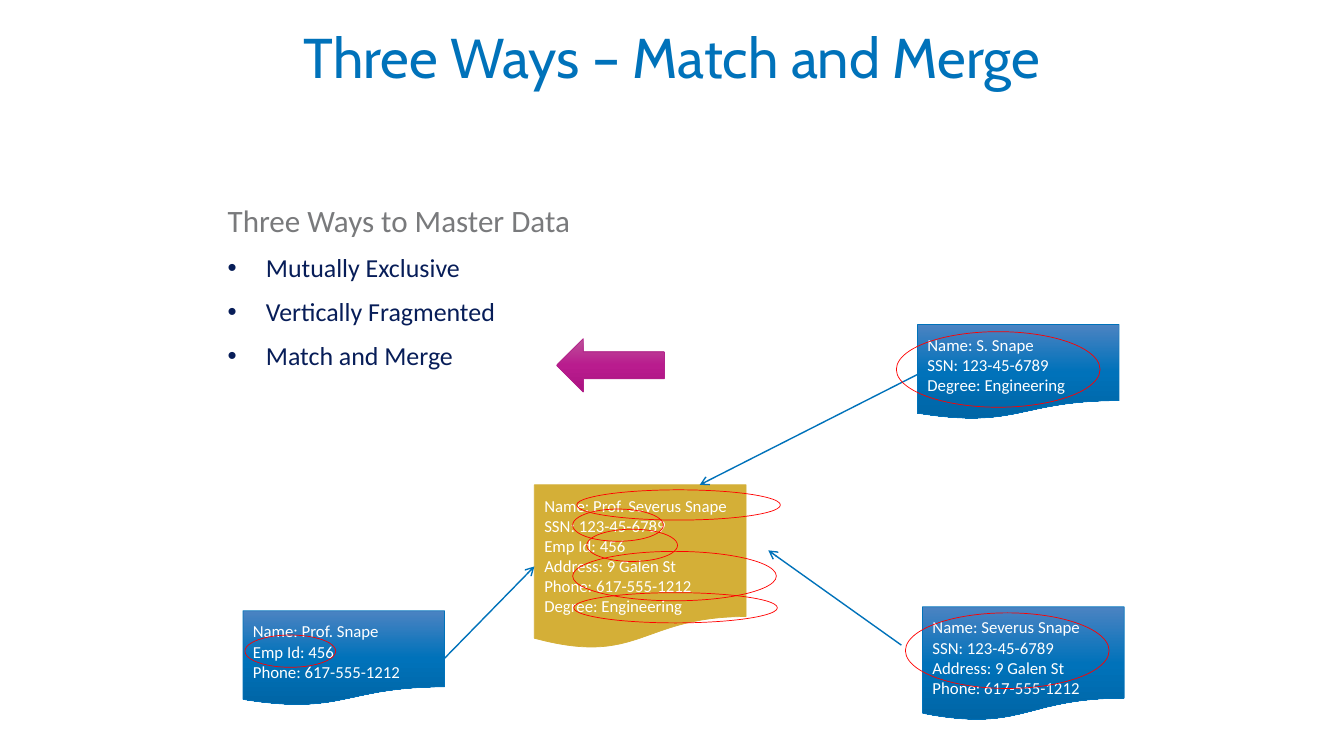
import pptx
import pptx.util
import pptx.oxml
import pptx.oxml.ns
import pptx.dml.color
import pptx.enum.shapes
import pptx.enum.text
from dataclasses import dataclass

Inches = pptx.util.Inches
Pt = pptx.util.Pt
Kind = pptx.enum.shapes.MSO_SHAPE
Align = pptx.enum.text.PP_ALIGN
Anchor = pptx.enum.text.MSO_ANCHOR


@dataclass(frozen=True)
class Theme:
    head: str = "Cabin"
    body: str = "Calibri"
    blue: str = "0072BA"
    navy: str = "071D58"
    gray: str = "797A7C"
    gold: str = "D4AF37"
    pink: str = "B2238B"
    red: str = "FF0000"
    white: str = "FFFFFF"
    blues: tuple = ("4B83C2", "0072BA", "0065A5")
    pinks: tuple = ("BD5099", "B91C8E", "AB1281")
    title: float = 40
    lead: float = 22.2
    item: float = 18.5
    small: float = 12


def color(code):
    return pptx.dml.color.RGBColor.from_string(code)


def node(tag, **attrs):
    item = pptx.oxml.parse_xml(f"<{tag} {pptx.oxml.ns.nsdecls('a')}/>")
    for key, value in attrs.items():
        item.set(key, value)
    return item


class Deck:
    def __init__(self, theme):
        self.theme = theme
        self.show = pptx.Presentation()
        self.show.slide_width = Inches(13.33)
        self.show.slide_height = Inches(7.5)
        self.slide = self.show.slides.add_slide(self.show.slide_layouts[6])

    def add_run(self, para, text, size, tint, font=None):
        run = para.add_run()
        run.text = text
        run.font.name = font or self.theme.body
        run.font.size = Pt(size)
        run.font.color.rgb = color(tint)

    def frame(self, shape, insets):
        frame = shape.text_frame
        frame.word_wrap = True
        (frame.margin_left, frame.margin_top,
         frame.margin_right, frame.margin_bottom) = map(Inches, insets)
        return frame

    def blend(self, shape, tints):
        shape.fill.gradient()
        shape.fill.gradient_angle = 270
        stops = shape._element.spPr.find(".//" + pptx.oxml.ns.qn("a:gsLst"))
        for stop in list(stops):
            stops.remove(stop)
        for place, tint in zip((0, 50000, 100000), tints):
            stop = node("a:gs", pos=str(place))
            stop.append(node("a:srgbClr", val=tint))
            stops.append(stop)

    def shape(self, kind, box, edge, fill=None):
        shape = self.slide.shapes.add_shape(kind, *map(Inches, box))
        shape.shadow.inherit = False
        shape.line.color.rgb = color(edge)
        shape.line.width = Pt(0.5)
        if fill is None:
            shape.fill.background()
        elif isinstance(fill, tuple):
            self.blend(shape, fill)
        else:
            shape.fill.solid()
            shape.fill.fore_color.rgb = color(fill)
        return shape

    def card(self, box, lines, edge, fill, base):
        shape = self.shape(Kind.FLOWCHART_DOCUMENT, box, edge, fill)
        frame = self.frame(shape, (0.1, 0.1, 0.1, base))
        frame.vertical_anchor = Anchor.MIDDLE
        for index, line in enumerate(lines):
            para = frame.add_paragraph() if index else frame.paragraphs[0]
            para.alignment = Align.LEFT
            self.add_run(para, line, self.theme.small, self.theme.white)

    def ring(self, box):
        self.shape(Kind.OVAL, box, self.theme.red)

    def link(self, start, end):
        line = self.slide.shapes.add_connector(
            pptx.enum.shapes.MSO_CONNECTOR.STRAIGHT,
            *map(Inches, start + end))
        line.line.color.rgb = color(self.theme.blue)
        line.line.width = Pt(1)
        edge = line._element.spPr.find(pptx.oxml.ns.qn("a:ln"))
        edge.append(node("a:tailEnd", type="arrow"))
        line._element.spPr.append(node("a:effectLst"))

    def title(self, box, text):
        shape = self.slide.shapes.add_textbox(*map(Inches, box))
        para = self.frame(shape, (0.1, 0.05, 0.1, 0.05)).paragraphs[0]
        para.alignment = Align.CENTER
        para.line_spacing = 0.9
        self.add_run(para, text, self.theme.title, self.theme.blue,
                     self.theme.head)

    def points(self, box, lead, items):
        shape = self.slide.shapes.add_textbox(*map(Inches, box))
        frame = self.frame(shape, (0.1, 0.15, 0.1, 0.05))
        para = frame.paragraphs[0]
        para.space_after = Pt(6)
        self.add_run(para, lead, self.theme.lead, self.theme.gray)
        for item in items:
            para = frame.add_paragraph()
            para.space_before = Pt(3.2)
            para.space_after = Pt(6)
            props = para._p.get_or_add_pPr()
            props.set("marL", str(Inches(0.38)))
            props.set("indent", str(-Inches(0.38)))
            props.append(node("a:buFont", typeface="Arial"))
            props.append(node("a:buChar", char="•"))
            self.add_run(para, item, self.theme.item, self.theme.navy)


def main():
    theme = Theme()
    deck = Deck(theme)
    deck.title((0.99, 0.25, 11.35, 0.8), "Three Ways – Match and Merge")

    deck.card((5.3, 4.81, 2.1, 1.63),
              ("Name: Prof. Severus Snape", "SSN: 123-45-6789",
               "Emp Id: 456", "Address: 9 Galen St",
               "Phone: 617-555-1212", "Degree: Engineering"),
              theme.gold, theme.gold, 0)

    for start, end in (((4.41, 6.53), (5.3, 5.62)),
                       ((8.94, 6.4), (7.62, 5.46)),
                       ((9.11, 3.71), (6.94, 4.81))):
        deck.link(start, end)

    for left, top, tall, base, lines in (
            (9.15, 6.02, 1.13, 0,
             ("Name: Severus Snape", "SSN: 123-45-6789",
              "Address: 9 Galen St", "Phone: 617-555-1212")),
            (9.1, 3.22, 0.94, 0.05,
             ("Name: S. Snape", "SSN: 123-45-6789",
              "Degree: Engineering")),
            (2.41, 6.06, 0.94, 0.05,
             ("Name: Prof. Snape", "Emp Id: 456",
              "Phone: 617-555-1212"))):
        deck.card((left, top, 2, tall), lines, theme.blue, theme.blues, base)

    for wide, tall, spots in (
            (2.02, 0.75, ((8.98, 6.08), (8.89, 3.29))),
            (2.02, 0.49, ((5.68, 5.47),)),
            (0.9, 0.32, ((5.68, 5.05), (2.43, 6.3), (5.82, 5.25))),
            (2.02, 0.3, ((5.72, 4.86), (5.69, 5.88)))):
        for left, top in spots:
            deck.ring((left, top, wide, tall))

    deck.points((2.16, 1.85, 3.7, 2.17), "Three Ways to Master Data",
                ("Mutually Exclusive", "Vertically Fragmented",
                 "Match and Merge"))
    deck.shape(Kind.LEFT_ARROW, (5.52, 3.36, 1.07, 0.53),
               theme.pink, theme.pinks)
    deck.show.save("out.pptx")


if __name__ == "__main__":
    main()
